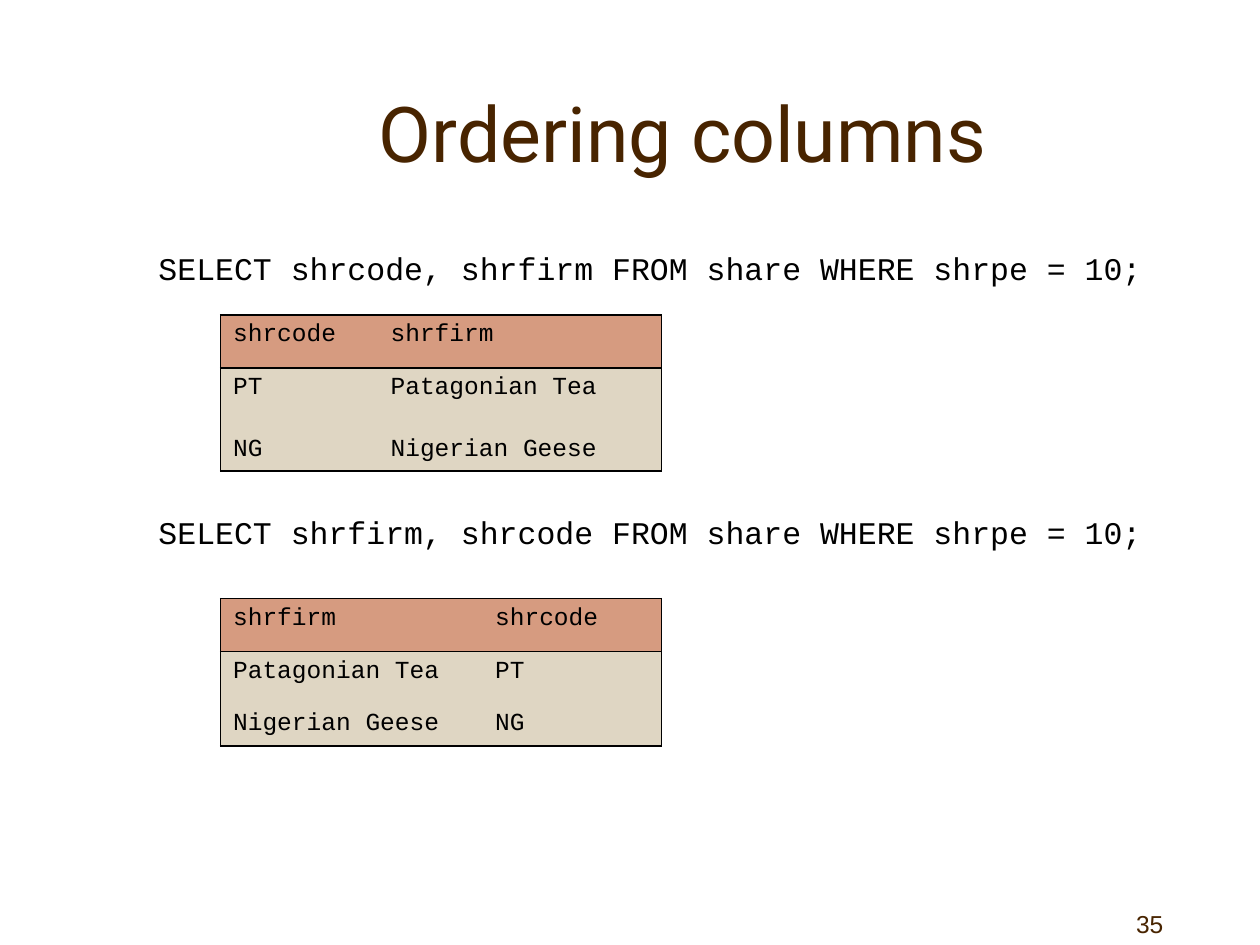
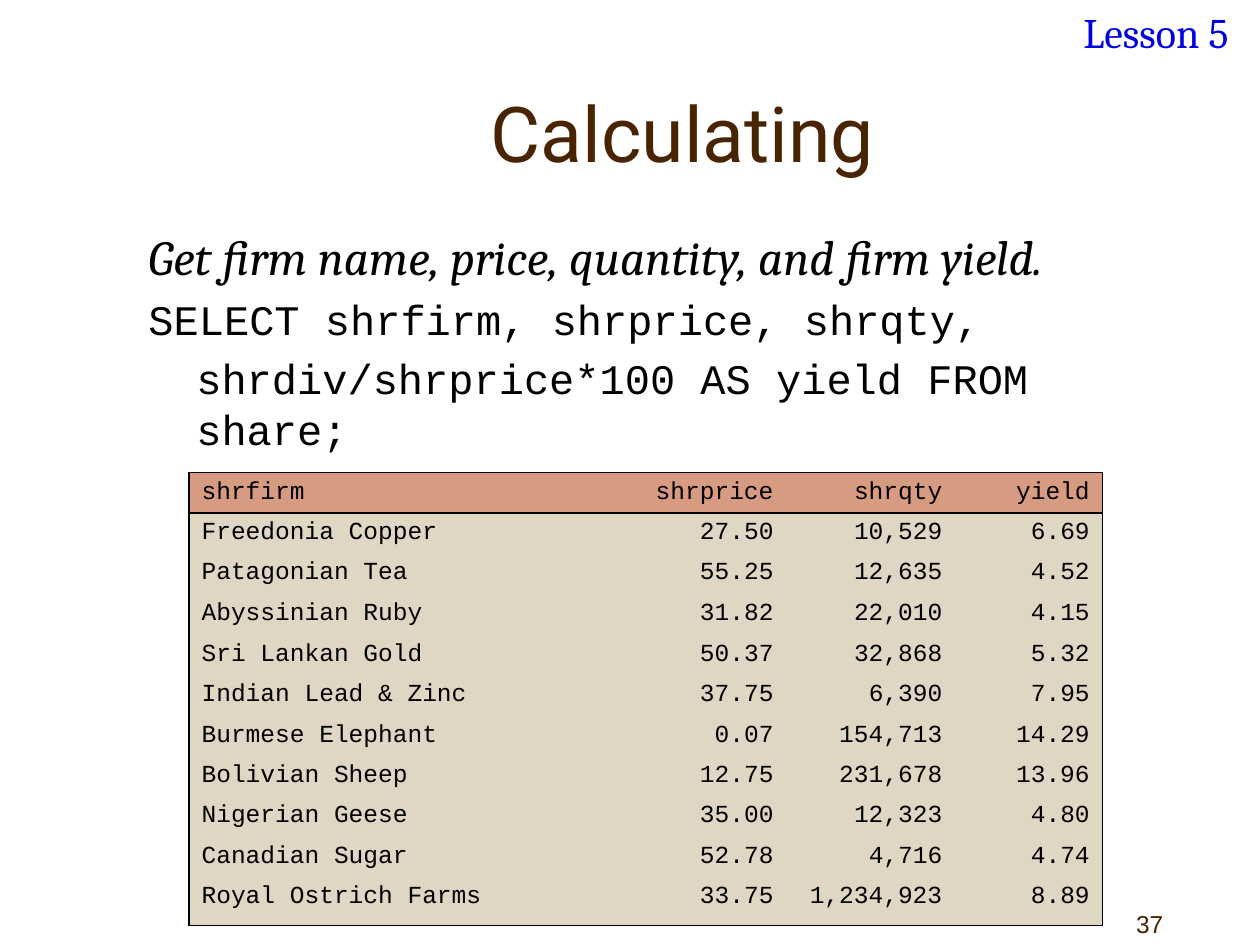
import pptx
import pptx.util
import pptx.dml.color
import pptx.enum.text
from lxml import etree

Inches = pptx.util.Inches
Pt = pptx.util.Pt
PP_ALIGN = pptx.enum.text.PP_ALIGN
MSO_ANCHOR = pptx.enum.text.MSO_ANCHOR
rgb = pptx.dml.color.RGBColor.from_string

# Shared style
BROWN, BLACK, BLUE = "482400", "000000", "0000E3"
HEADER_FILL, BODY_FILL = "D69B80", "DFD6C3"
CODE, SERIF = "Courier New", "Cambria"
A = "{http://schemas.openxmlformats.org/drawingml/2006/main}"


def write(tf, text, size, font=CODE, color=BLACK, italic=False, align=PP_ALIGN.LEFT,
          before=0, left=0):
    """Put text in the empty first paragraph, or else in a new one."""
    p = tf.paragraphs[0] if not tf.text else tf.add_paragraph()
    p.alignment = align
    p.space_before = Pt(before)
    if left:
        p._p.get_or_add_pPr().set("marL", str(Inches(left)))
    r = p.add_run()
    r.text = text
    r.font.size = Pt(size)
    r.font.name = font
    r.font.italic = italic
    r.font.color.rgb = rgb(color)


def add_box(s, x, y, w, h, anchor=MSO_ANCHOR.TOP):
    tf = s.shapes.add_textbox(Inches(x), Inches(y), Inches(w), Inches(h)).text_frame
    tf.word_wrap = True
    tf.vertical_anchor = anchor
    return tf


prs = pptx.Presentation()
prs.slide_width = Inches(10)
prs.slide_height = Inches(7.5)

# Titles and slide numbers
slides = []
for title, number in [("Ordering columns", "35"), ("Calculating", "37")]:
    s = prs.slides.add_slide(prs.slide_layouts[6])
    tf = add_box(s, 8.5, 7, 1.25, 0.5, MSO_ANCHOR.BOTTOM)
    write(tf, number, 14, "Arial", BROWN, align=PP_ALIGN.CENTER)
    tf = add_box(s, 1.17, 0.42, 8.5, 1.25, MSO_ANCHOR.MIDDLE)
    write(tf, title, 44, "Roboto", BROWN, align=PP_ALIGN.CENTER)
    slides.append(s)
ordering, calculating = slides

# Queries on column order
tf = add_box(ordering, 1.16, 1.93, 8.5, 4.5)
write(tf, "SELECT shrcode, shrfirm FROM share WHERE shrpe = 10;", 18)
write(tf, "SELECT shrfirm, shrcode FROM share WHERE shrpe = 10;", 18, before=129.2)

# Query with a calculated column
tf = add_box(calculating, 1.08, 1.75, 8.5, 4.42)
write(tf, "Get firm name, price, quantity, and firm yield.", 28, SERIF, italic=True)
write(tf, "SELECT shrfirm, shrprice, shrqty,", 24, before=4.8)
write(tf, "shrdiv/shrprice*100 AS yield FROM share;", 24, before=4.8, left=0.38)

# Lesson tag
write(add_box(calculating, 8.5, 0, 1.5, 0.5), "Lesson 5", 24, SERIF, BLUE)

# Result tables: slide, left, top, column widths, row heights, other columns' alignment, rows
tables = [
    (ordering, 1.75, 2.5, [1.25, 2.25], [0.42, 0.49, 0.33], PP_ALIGN.LEFT, [
        ("shrcode", "shrfirm"),
        ("PT", "Patagonian Tea"),
        ("NG", "Nigerian Geese"),
    ]),
    (ordering, 1.75, 4.75, [2.08, 1.42], [0.42, 0.42, 0.33], PP_ALIGN.LEFT, [
        ("shrfirm", "shrcode"),
        ("Patagonian Tea", "PT"),
        ("Nigerian Geese", "NG"),
    ]),
    (calculating, 1.5, 3.75, [3.49, 1.25, 1.34, 1.17],
     [0.32] * 3 + [0.33] + [0.32] * 6 + [0.39], PP_ALIGN.RIGHT, [
        ("shrfirm", "shrprice", "shrqty", "yield"),
        ("Freedonia Copper", "27.50", "10,529", "6.69"),
        ("Patagonian Tea", "55.25", "12,635", "4.52"),
        ("Abyssinian Ruby", "31.82", "22,010", "4.15"),
        ("Sri Lankan Gold", "50.37", "32,868", "5.32"),
        ("Indian Lead & Zinc", "37.75", "6,390", "7.95"),
        ("Burmese Elephant", "0.07", "154,713", "14.29"),
        ("Bolivian Sheep", "12.75", "231,678", "13.96"),
        ("Nigerian Geese", "35.00", "12,323", "4.80"),
        ("Canadian Sugar", "52.78", "4,716", "4.74"),
        ("Royal Ostrich Farms", "33.75", "1,234,923", "8.89"),
    ]),
]

for s, x, y, widths, heights, align, rows in tables:
    table = s.shapes.add_table(len(rows), len(widths), Inches(x), Inches(y),
                               Inches(sum(widths)), Inches(sum(heights))).table
    table.first_row = table.horz_banding = False
    for column, width in zip(table.columns, widths):
        column.width = Inches(width)
    for row, height in zip(table.rows, heights):
        row.height = Inches(height)

    for i, row in enumerate(rows):
        for j, text in enumerate(row):
            cell = table.cell(i, j)
            # A small bottom margin keeps the rows at their set height
            cell.margin_bottom = Inches(0.02)
            write(cell.text_frame, text, 14, align=align if j else PP_ALIGN.LEFT)

            # Lines around the table and under its header
            borders = {"lnL": j == 0, "lnR": j == len(row) - 1,
                       "lnT": i <= 1, "lnB": i in (0, len(rows) - 1)}
            tcPr = cell._tc.get_or_add_tcPr()
            for side, drawn in borders.items():
                ln = etree.SubElement(tcPr, A + side, w=str(Pt(1)))
                if drawn:
                    fill = etree.SubElement(ln, A + "solidFill")
                    etree.SubElement(fill, A + "srgbClr", val=BLACK)
                else:
                    etree.SubElement(ln, A + "noFill")
            cell.fill.solid()
            cell.fill.fore_color.rgb = rgb(BODY_FILL if i else HEADER_FILL)

prs.save("out.pptx")
